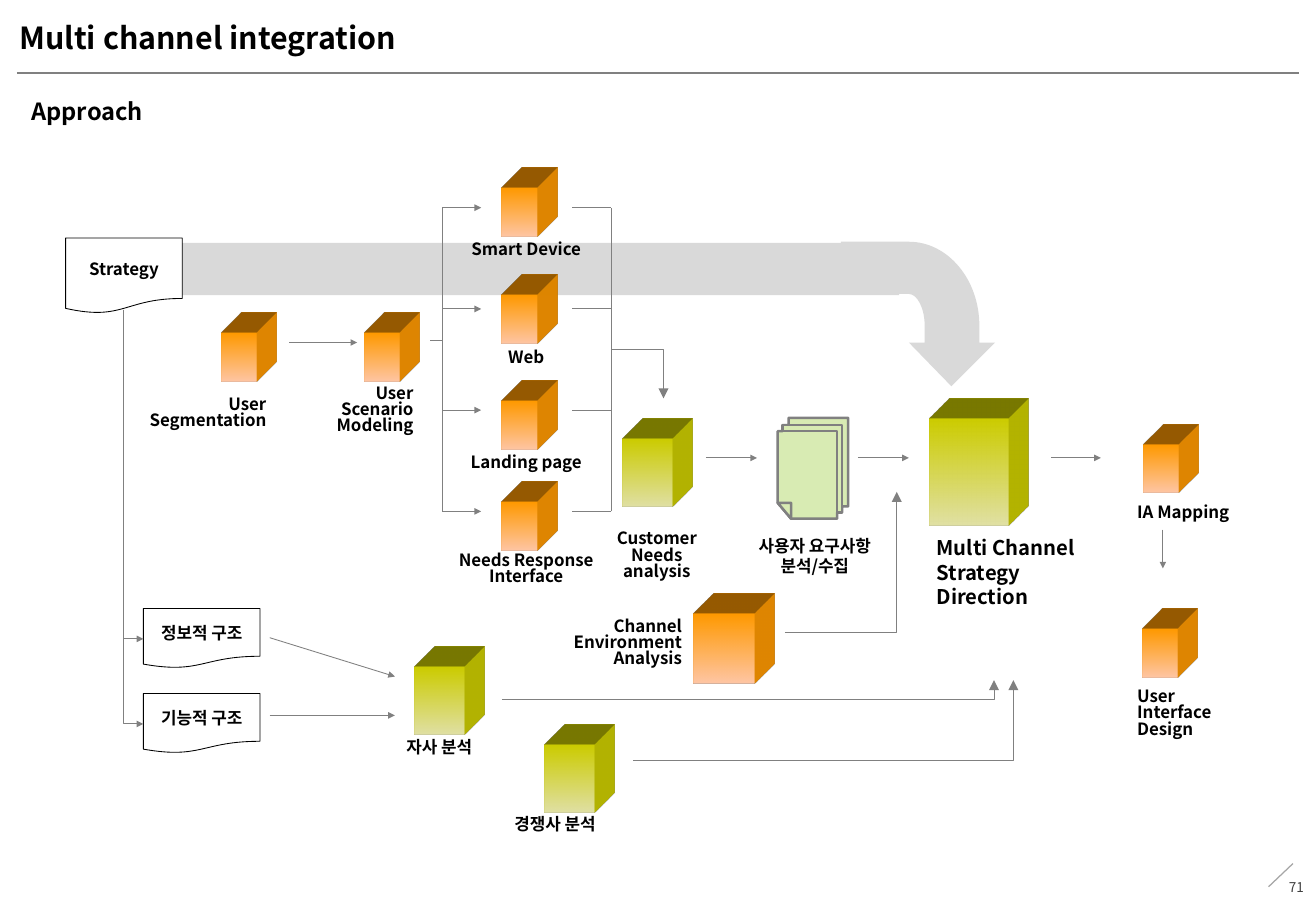
from lxml import etree
from pptx import Presentation
from pptx.dml.color import RGBColor
from pptx.enum.shapes import MSO_CONNECTOR, MSO_SHAPE
from pptx.enum.text import MSO_ANCHOR, MSO_AUTO_SIZE, PP_ALIGN
from pptx.oxml.ns import qn
from pptx.util import Inches, Pt

LEFT, CENTER, RIGHT = PP_ALIGN.LEFT, PP_ALIGN.CENTER, PP_ALIGN.RIGHT
TOP, MIDDLE = MSO_ANCHOR.TOP, MSO_ANCHOR.MIDDLE
RECTANGLE, DOCUMENT = MSO_SHAPE.RECTANGLE, MSO_SHAPE.FLOWCHART_DOCUMENT
STRAIGHT = MSO_CONNECTOR.STRAIGHT

WIDTH, HEIGHT = 10.83, 7.5
FONT = "Noto Sans CJK KR"
BLACK, WHITE, GREY, BAND = "000000", "FFFFFF", "808080", "D9D9D9"
TITLE, SUBTITLE, PAGE_NUMBER = "Multi channel integration", "Approach", "71"

# Gradient start and end
ORANGE, GREEN = ("FF9900", "FFC6A4"), ("CCCC00", "E0E0A4")
EXTRUSION = 430200
SMALL, MEDIUM = (0.29, 0.4), (0.41, 0.56)

# Left, top, (width, height), colours
CUBES = [
    (3, 2.74, SMALL, ORANGE),
    (1.82, 2.74, SMALL, ORANGE),
    (5.12, 3.61, MEDIUM, GREEN),
    (3.41, 5.49, MEDIUM, GREEN),
    (7.65, 3.45, (0.65, 0.88), GREEN),
    (4.48, 6.13, MEDIUM, GREEN),
    (9.41, 3.66, SMALL, ORANGE),
    (9.4, 5.18, SMALL, ORANGE),
    (5.71, 5.05, (0.5, 0.58), ORANGE),
]

# Text, box, alignment
LABELS = [
    ("User Scenario Modeling", (2.38, 3.13, 1.12, 0.5), RIGHT),
    ("User Segmentation", (1.05, 3.22, 1.24, 0.37), RIGHT),
    ("Customer\nNeeds\nanalysis", (4.69, 4.33, 1.43, 0.37), CENTER),
    ("자사 분석", (2.9, 6.05, 1.43, 0.23), CENTER),
    ("경쟁사 분석", (3.57, 6.68, 1.43, 0.37), RIGHT),
    ("IA Mapping", (9.26, 4.11, 1.12, 0.23), LEFT),
    ("User Interface Design", (9.26, 5.63, 0.95, 0.5), LEFT),
    ("Channel Environment Analysis", (4.28, 5.05, 1.43, 0.5), RIGHT),
]

# Text, cube top, label top, label width
CHANNELS = [
    ("Smart Device", 1.55, 1.95, 1.12),
    ("Web", 2.43, 2.84, 1.12),
    ("Landing page", 3.3, 3.7, 1.12),
    ("Needs Response\nInterface", 4.13, 4.51, 1.4),
]
CHANNEL_LEFT, CHANNEL_CENTER = 4.13, 4.33
BRANCH_TOP, BRANCH_BOTTOM = 1.71, 4.21
BRANCH_IN, BRANCH_OUT, BRANCH_LENGTH = 3.64, 5.03, 0.32

DOCUMENTS = [
    ("Strategy", (0.54, 1.96, 0.96, 0.62)),
    ("정보적 구조", (1.18, 5.01, 0.96, 0.49)),
    ("기능적 구조", (1.18, 5.71, 0.96, 0.49)),
]

# Arrows with a small head
LINKS = [
    [(1.02, 2.55), (1.02, 5.26), (1.18, 5.26)],
    [(1.02, 2.55), (1.02, 5.96), (1.18, 5.96)],
    [(2.38, 2.82), (2.94, 2.82)],
    [(2.22, 5.89), (3.25, 5.89)],
    [(2.22, 5.25), (3.25, 5.57)],
    [(9.57, 4.36), (9.57, 4.68)],
    [(5.81, 3.77), (6.23, 3.77)],
    [(7.06, 3.77), (7.48, 3.77)],
    [(8.65, 3.77), (9.06, 3.77)],
]

# Arrows with a medium head
ROUTES = [
    [(5.04, 2.88), (5.46, 2.88), (5.46, 3.28)],
    [(4.13, 5.76), (8.18, 5.76), (8.18, 5.6)],
    [(5.21, 6.26), (8.34, 6.26), (8.34, 5.6)],
    [(6.46, 5.21), (7.38, 5.21), (7.38, 4.05)],
]

# A point with six numbers is a curve: two control points and its end
BIG_ARROW = [
    (7.83, 3.18), (8.19, 2.82), (8.06, 2.82), (8.06, 2.68),
    (8.06, 2.3, 7.8, 1.99, 7.48, 1.99), (6.92, 1.99), (6.92, 2.42), (7.48, 2.42),
    (7.55, 2.42, 7.61, 2.54, 7.61, 2.68), (7.61, 2.82), (7.48, 2.82),
]
SHEETS = [
    [(6.4, 4.14), (6.4, 3.55), (6.44, 3.55), (6.44, 3.5), (6.49, 3.5), (6.49, 3.44),
     (6.98, 3.44), (6.98, 4.17), (6.93, 4.17), (6.93, 4.22), (6.89, 4.22),
     (6.89, 4.27), (6.51, 4.27)],
    [(6.49, 3.5), (6.93, 3.5), (6.93, 4.22), (6.89, 4.22), (6.89, 3.55),
     (6.44, 3.55), (6.44, 3.5)],
    [(6.4, 4.14), (6.51, 4.14), (6.51, 4.27)],
]


def rgb(value):
    return RGBColor.from_string(value)


def inches(values):
    return [Inches(value) for value in values]


def paint(shape, fill=None, line=None, weight=0.5):
    shape.shadow.inherit = False
    if fill:
        shape.fill.solid()
        shape.fill.fore_color.rgb = rgb(fill)
    else:
        shape.fill.background()
    if line:
        shape.line.color.rgb = rgb(line)
        shape.line.width = Pt(weight)
    else:
        shape.line.fill.background()


def write(shape, text, size=10, align=LEFT, anchor=TOP, spacing=None,
          wrap=True, bold=True, color=BLACK):
    frame = shape.text_frame
    frame.text = text
    frame.word_wrap = wrap
    frame.auto_size = MSO_AUTO_SIZE.NONE
    frame.vertical_anchor = anchor
    for paragraph in frame.paragraphs:
        paragraph.alignment = align
        if spacing:
            paragraph.line_spacing = spacing
        font = paragraph.font
        font.size, font.bold, font.name = Pt(size), bold, FONT
        font.color.rgb = rgb(color)
        defaults = paragraph._p.pPr.find(qn("a:defRPr"))
        etree.SubElement(defaults, qn("a:ea"), typeface=FONT)


def add_text(text, box, **style):
    shape = slide.shapes.add_textbox(*inches(box))
    write(shape, text, **style)


def add_outline(contours, closed=True, **look):
    """Draw contours as one freeform, each contour filled on its own."""
    builder = slide.shapes.build_freeform(*inches(contours[0][0]))
    for number, (start, *rest) in enumerate(contours):
        if number:
            builder.move_to(*inches(start))
        builder.add_line_segments([inches(point[-2:]) for point in rest], close=closed)
    shape = builder.convert_to_shape()
    paint(shape, **look)
    whole = next(shape._element.iter(qn("a:path")))
    for step in list(whole):
        if step.tag == qn("a:moveTo"):
            part = etree.SubElement(whole.getparent(), qn("a:path"), dict(whole.attrib))
        part.append(step)
    whole.getparent().remove(whole)
    return shape


def bend(shape, points):
    """Turn the steps given by six numbers into curves."""
    steps = list(next(shape._element.iter(qn("a:path"))))
    for step, point in zip(steps, points):
        if len(point) == 6:
            step.tag = qn("a:cubicBezTo")
            for index in (0, 2):
                x, y = inches(point[index:index + 2])
                control = etree.Element(qn("a:pt"), x=str(x - shape.left), y=str(y - shape.top))
                step.insert(index // 2, control)


def add_line(points, head=None, color=GREY, weight=0.5):
    """Draw a connector for two points and an open outline for more."""
    if len(points) == 2:
        shape = slide.shapes.add_connector(STRAIGHT, *inches(points[0] + points[1]))
        shape.line.color.rgb = rgb(color)
        shape.line.width = Pt(weight)
        etree.SubElement(shape._element.spPr, qn("a:effectLst"))
    else:
        shape = add_outline([points], closed=False, line=color, weight=weight)
    if head:
        outline = shape._element.spPr.find(qn("a:ln"))
        etree.SubElement(outline, qn("a:tailEnd"), type="triangle", w=head, len=head)


def add_cube(left, top, size, colors):
    cube = slide.shapes.add_shape(RECTANGLE, *inches((left, top) + size))
    paint(cube)
    cube.fill.gradient()
    cube.fill.gradient_angle = 270
    for stop, color in zip(cube.fill.gradient_stops, colors):
        stop.color.rgb = rgb(color)
    properties = cube._element.spPr
    scene = etree.SubElement(properties, qn("a:scene3d"))
    etree.SubElement(scene, qn("a:camera"), prst="legacyObliqueTopRight")
    etree.SubElement(scene, qn("a:lightRig"), rig="legacyFlat3", dir="b")
    solid = etree.SubElement(properties, qn("a:sp3d"), extrusionH=str(EXTRUSION),
                             prstMaterial="legacyMatte")
    tint = etree.SubElement(solid, qn("a:extrusionClr"))
    etree.SubElement(tint, qn("a:srgbClr"), val=colors[0])


deck = Presentation()
deck.slide_width, deck.slide_height = inches((WIDTH, HEIGHT))
slide = deck.slides.add_slide(deck.slide_layouts[5])

title = slide.shapes.title
title.left, title.top, title.width, title.height = inches((0.16, 0.1, 8.09, 0.42))
write(title, TITLE, size=18)
frame = title.text_frame
frame.margin_left = frame.margin_right = 0
frame.margin_top = frame.margin_bottom = Inches(0.06)
add_line([(0.14, 0.6), (10.69, 0.6)], weight=0.75)
add_line([(10.64, 7.11), (10.44, 7.3)], color="A6A6A6", weight=0.75)
add_text(PAGE_NUMBER, (10.22, 7.1, 0.61, 0.4), size=8, align=RIGHT, anchor=MIDDLE,
         bold=False, color="404040")
add_text(SUBTITLE, (0.16, 0.75, 10.54, 0.34), size=14)

band = slide.shapes.add_shape(RECTANGLE, *inches((1.5, 2, 5.9, 0.43)))
paint(band, fill=BAND)
bend(add_outline([BIG_ARROW], fill=BAND), BIG_ARROW)

for text, box in DOCUMENTS:
    document = slide.shapes.add_shape(DOCUMENT, *inches(box))
    paint(document, fill=WHITE, line=BLACK)
    write(document, text, align=CENTER, anchor=MIDDLE, wrap=False)

for cube in CUBES:
    add_cube(*cube)
for text, box, align in LABELS:
    add_text(text, box, align=align, spacing=0.8)
add_text("Multi Channel Strategy\vDirection", (7.61, 4.36, 1.43, 0.7), size=12)
add_text("사용자 요구사항\n분석/수집", (6.18, 4.36, 1.05, 0.6), align=CENTER, wrap=False)
add_outline(SHEETS, fill="D8EBB3", line=GREY, weight=1.5)

pitch = (BRANCH_BOTTOM - BRANCH_TOP) / (len(CHANNELS) - 1)
for row, (text, cube_top, label_top, width) in enumerate(CHANNELS):
    add_text(text, (CHANNEL_CENTER - width / 2, label_top, width, 0.23),
             align=CENTER, spacing=0.8)
    add_cube(CHANNEL_LEFT, cube_top, SMALL, ORANGE)
    y = BRANCH_TOP + row * pitch
    add_line([(BRANCH_IN, y), (BRANCH_IN + BRANCH_LENGTH, y)], head="sm")
    add_line([(BRANCH_OUT - BRANCH_LENGTH, y), (BRANCH_OUT, y)])
for x in (BRANCH_IN, BRANCH_OUT):
    add_line([(x, BRANCH_BOTTOM), (x, BRANCH_TOP)])
add_line([(3.54, 2.8), (BRANCH_IN, 2.8)])

for head, arrows in (("sm", LINKS), ("med", ROUTES)):
    for points in arrows:
        add_line(points, head=head)

deck.save("out.pptx")
